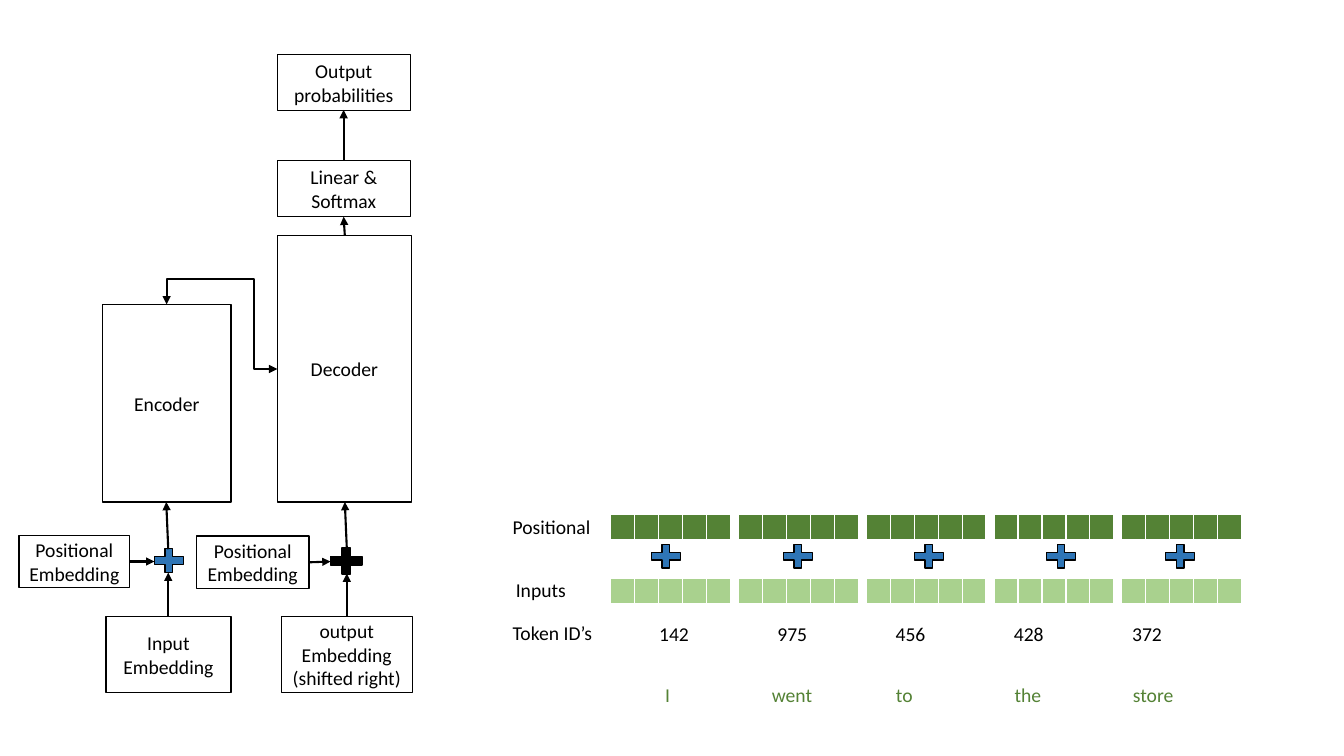
"""Build a slide of an encoder-decoder transformer and its input embeddings."""
from dataclasses import dataclass

from lxml.etree import SubElement
from pptx import Presentation
from pptx.dml.color import RGBColor as RGB
from pptx.enum.shapes import MSO_CONNECTOR as LINE, MSO_SHAPE as SHAPE
from pptx.enum.text import MSO_ANCHOR as ANCHOR, MSO_AUTO_SIZE as FIT, PP_ALIGN as ALIGN
from pptx.oxml import parse_xml
from pptx.oxml.ns import nsdecls, qn
from pptx.util import Cm, Pt


@dataclass(frozen=True)
class Theme:
    font: str = "Calibri"
    size: Pt = Pt(14)
    cell_size: Pt = Pt(8)
    outline: Pt = Pt(1)
    arrow: Pt = Pt(1.5)
    black: RGB = RGB(0, 0, 0)
    white: RGB = RGB(255, 255, 255)
    blue: RGB = RGB(0x2E, 0x75, 0xB6)
    dark_green: RGB = RGB(0x54, 0x82, 0x35)
    light_green: RGB = RGB(0xA9, 0xD1, 0x8E)


theme = Theme()
prs = Presentation()
prs.slide_width, prs.slide_height = Cm(33.87), Cm(19.05)
s = prs.slides.add_slide(prs.slide_layouts[6])


def write(tf, text, color=theme.black, align=ALIGN.LEFT):
    tf.word_wrap = True
    tf.text = text
    for p in tf.paragraphs:
        p.alignment = align
        p.font.name, p.font.size = theme.font, theme.size
        p.font.color.rgb = color


def add_block(kind, box, fill=None):
    sp = s.shapes.add_shape(kind, *map(Cm, box))
    sp.shadow.inherit = False
    if fill is None:
        sp.fill.background()
    else:
        sp.fill.solid()
        sp.fill.fore_color.rgb = fill
    sp.line.color.rgb, sp.line.width = theme.black, theme.outline
    return sp


blocks = [
    ("Encoder", (2.59, 7.67, 3.23, 4.98), None),
    ("Decoder", (6.99, 5.94, 3.38, 6.71), None),
    ("Input Embedding", (2.67, 15.54, 3.15, 1.91), theme.white),
    ("Positional Embedding", (0.48, 13.49, 2.79, 1.32), theme.white),
    ("output Embedding\n(shifted right)", (7.09, 15.54, 3.3, 1.91), None),
    ("Positional Embedding", (4.95, 13.51, 2.84, 1.32), None),
    ("Output probabilities", (6.99, 1.37, 3.35, 1.42), None),
    ("Linear & Softmax", (6.99, 4.04, 3.35, 1.42), None),
]
for text, box, fill in blocks:
    tf = add_block(SHAPE.RECTANGLE, box, fill).text_frame
    tf.vertical_anchor = ANCHOR.MIDDLE
    tf.margin_left = tf.margin_right = Cm(0.1)
    write(tf, text, align=ALIGN.CENTER)

add_block(SHAPE.MATH_PLUS, (3.76, 13.72, 0.99, 0.81), theme.blue)
add_block(SHAPE.MATH_PLUS, (8.18, 13.69, 1.09, 0.89), theme.black)

arrows = [
    (LINE.STRAIGHT, (3.28, 14.15, 3.89, 14.15)),
    (LINE.STRAIGHT, (4.24, 15.54, 4.24, 14.43)),
    (LINE.STRAIGHT, (4.24, 13.84, 4.19, 12.65)),
    (LINE.STRAIGHT, (7.77, 14.17, 8.33, 14.15)),
    (LINE.STRAIGHT, (8.74, 15.54, 8.74, 14.45)),
    (LINE.STRAIGHT, (8.74, 13.82, 8.69, 12.65)),
    (LINE.STRAIGHT, (8.69, 5.94, 8.66, 5.46)),
    (LINE.STRAIGHT, (8.66, 4.04, 8.66, 2.77)),
    (LINE.ELBOW, (6.41, 7.09, 4.78, 9.88)),
]
for kind, ends in arrows:
    c = s.shapes.add_connector(kind, *map(Cm, ends))
    c.line.color.rgb, c.line.width = theme.black, theme.arrow
    spPr = c._element.spPr
    ln = spPr.find(qn("a:ln"))
    if kind == LINE.ELBOW:
        spPr.find(qn("a:xfrm")).set("rot", str(270 * 60000))
        geom = spPr.find(qn("a:prstGeom"))
        geom.set("prst", "bentConnector4")
        guides = geom.find(qn("a:avLst"))
        for name, value in (("adj1", -39100), ("adj2", 79000)):
            SubElement(guides, qn("a:gd"), name=name, fmla=f"val {value}")
        SubElement(ln, qn("a:headEnd"), type="triangle")
    SubElement(ln, qn("a:tailEnd"), type="triangle")
    SubElement(spPr, qn("a:effectLst"))

labels = [
    ("Positional", 12.67, 12.85, 2.69, theme.black),
    ("Inputs", 12.75, 14.43, 2.16, theme.black),
    ("Token ID’s", 12.67, 15.52, 2.64, theme.black),
]
tokens = [
    ("I", "142", 16.51, 16.28),
    ("went", "975", 19.2, 19.61),
    ("to", "456", 22.33, 22.91),
    ("the", "428", 25.32, 26.24),
    ("store", "372", 28.3, 29.24),
]
for i, (word, token_id, word_x, plus_x) in enumerate(tokens):
    labels.append((word, word_x, 17.09, 2.16, theme.dark_green))
    labels.append((token_id, 16.36 + 2.98 * i, 15.54, 1.32, theme.black))
    for y, color in ((12.95, theme.dark_green), (14.57, theme.light_green)):
        frame = s.shapes.add_table(1, 5, Cm(15.39 + 3.22 * i), Cm(y), Cm(3.02), Cm(0.68))
        table = frame.table
        table.first_row = table.horz_banding = False
        for cell in table.iter_cells():
            cell.margin_left = cell.margin_right = cell.margin_top = cell.margin_bottom = 0
            cell.fill.solid()
            cell.fill.fore_color.rgb = color
            end = cell.text_frame.paragraphs[0]._p.get_or_add_endParaRPr()
            end.set("sz", str(int(theme.cell_size.pt * 100)))
            tcPr = cell._tc.get_or_add_tcPr()
            for n, (side, width) in enumerate((("L", 1), ("R", 1), ("T", 1), ("B", 3))):
                tcPr.insert(n, parse_xml(
                    f'<a:ln{side} {nsdecls("a")} w="{Pt(width)}"><a:solidFill>'
                    f'<a:srgbClr val="{theme.white}"/></a:solidFill></a:ln{side}>'))
    add_block(SHAPE.MATH_PLUS, (plus_x, 13.62, 1, 0.8), theme.blue)

for text, x, y, width, color in labels:
    tf = s.shapes.add_textbox(Cm(x), Cm(y), Cm(width), Cm(0.86)).text_frame
    write(tf, text, color)
    tf.auto_size = FIT.SHAPE_TO_FIT_TEXT

prs.save("out.pptx")
